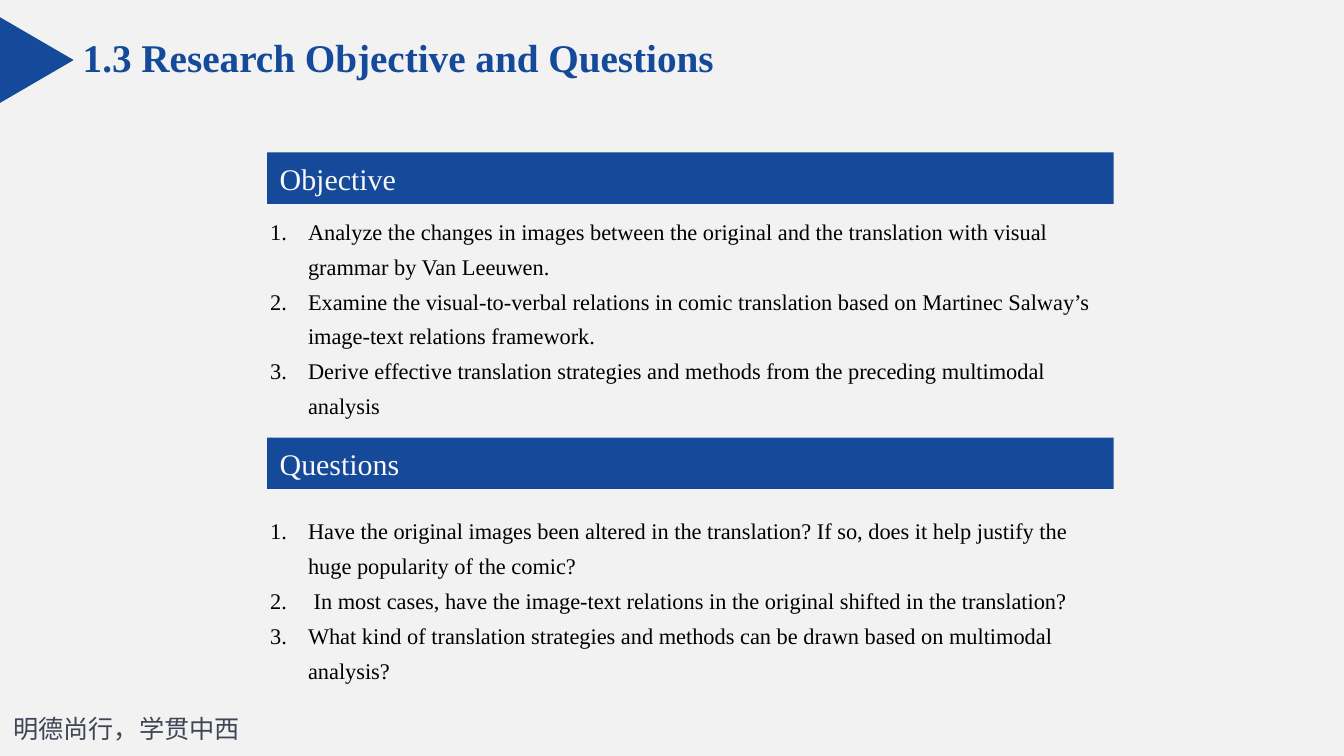
from dataclasses import dataclass

from lxml import etree
from pptx import Presentation
from pptx.dml.color import RGBColor
from pptx.enum.shapes import MSO_SHAPE
from pptx.enum.text import MSO_ANCHOR, MSO_AUTO_SIZE, PP_ALIGN
from pptx.oxml.ns import qn
from pptx.util import Pt


@dataclass(frozen=True)
class Theme:
    background: str = "F2F2F2"
    accent: str = "15499A"
    band_text: str = "F8F8F8"
    body_text: str = "000000"
    motto_text: str = "414456"
    font: str = "Times New Roman"
    motto_font: str = "Noto Sans CJK SC"
    title_size: float = 28
    band_size: float = 21.4
    body_size: float = 16
    motto_size: float = 18


THEME = Theme()
LIST_INDENT = 27
SECTION_WIDTH = 604.8
BAND_LEFT, BAND_HEIGHT = 190.8, 36.7
LIST_LEFT = 185.8

# heading, band top, list top, list height, items
SECTIONS = [
    ("Objective", 108.9, 146.2, 156.2, [
        "Analyze the changes in images between the original and the translation "
        "with visual grammar by Van Leeuwen.",
        "Examine the visual-to-verbal relations in comic translation based on "
        "Martinec Salway’s image-text relations framework.",
        "Derive effective translation strategies and methods from the preceding "
        "multimodal analysis",
    ]),
    ("Questions", 312.6, 360, 131, [
        "Have the original images been altered in the translation? If so, does it "
        "help justify the huge popularity of the comic?",
        " In most cases, have the image-text relations in the original shifted in "
        "the translation?",
        "What kind of translation strategies and methods can be drawn based on "
        "multimodal analysis?",
    ]),
]


def place(shape, left, top, width, height):
    shape.left, shape.top = Pt(left), Pt(top)
    shape.width, shape.height = Pt(width), Pt(height)


def set_frame(shape, anchor, margin_x=7.2, margin_y=3.6, wrap=True):
    frame = shape.text_frame
    frame.auto_size = MSO_AUTO_SIZE.NONE
    frame.word_wrap = wrap
    frame.vertical_anchor = anchor
    frame.margin_left = frame.margin_right = Pt(margin_x)
    frame.margin_top = frame.margin_bottom = Pt(margin_y)
    return frame


def add_run(paragraph, text, size, color, font=THEME.font, bold=False):
    paragraph.alignment = PP_ALIGN.LEFT
    paragraph.space_before = Pt(0)
    run = paragraph.add_run()
    run.text = text
    run.font.size = Pt(size)
    run.font.bold = bold
    run.font.color.rgb = RGBColor.from_string(color)
    run.font.name = font
    east_asian = etree.SubElement(run.font._element, qn("a:ea"))
    east_asian.set("typeface", font)


def number_paragraph(paragraph):
    """Give the paragraph an automatic number and a hanging indent."""
    properties = paragraph._p.get_or_add_pPr()
    properties.set("marL", str(Pt(LIST_INDENT)))
    properties.set("indent", str(-Pt(LIST_INDENT)))
    etree.SubElement(properties, qn("a:buFont")).set("typeface", THEME.font)
    etree.SubElement(properties, qn("a:buAutoNum")).set("type", "arabicPeriod")


def add_accent_shape(slide, kind, left, top, width, height):
    shape = slide.shapes.add_shape(kind, Pt(left), Pt(top), Pt(width), Pt(height))
    shape.shadow.inherit = False
    shape.fill.solid()
    shape.fill.fore_color.rgb = RGBColor.from_string(THEME.accent)
    shape.line.fill.background()
    return shape


def fill_title(title, text):
    place(title, 49.7, 18.7, 475.2, 44)
    frame = set_frame(title, MSO_ANCHOR.MIDDLE, 9.4, 5, wrap=False)
    add_run(frame.paragraphs[0], text, THEME.title_size, THEME.accent, bold=True)


def add_band(slide, heading, top):
    band = add_accent_shape(slide, MSO_SHAPE.RECTANGLE,
                            BAND_LEFT, top, SECTION_WIDTH, BAND_HEIGHT)
    frame = set_frame(band, MSO_ANCHOR.MIDDLE, margin_x=9)
    add_run(frame.paragraphs[0], heading, THEME.band_size, THEME.band_text)


def fill_list(body, top, height, items):
    place(body, LIST_LEFT, top, SECTION_WIDTH, height)
    frame = set_frame(body, MSO_ANCHOR.TOP)
    for index, item in enumerate(items):
        paragraph = frame.add_paragraph() if index else frame.paragraphs[0]
        number_paragraph(paragraph)
        paragraph.line_spacing = 1.3
        add_run(paragraph, item, THEME.body_size, THEME.body_text)


def add_motto(slide, text):
    box = slide.shapes.add_textbox(Pt(2.2), Pt(506.2), Pt(179.3), Pt(28.8))
    frame = set_frame(box, MSO_ANCHOR.TOP)
    add_run(frame.paragraphs[0], text, THEME.motto_size, THEME.motto_text,
            font=THEME.motto_font)


def main():
    presentation = Presentation()
    presentation.slide_width, presentation.slide_height = Pt(960), Pt(540)
    two_content = presentation.slide_layouts[3]
    slide = presentation.slides.add_slide(two_content)
    slide.background.fill.solid()
    slide.background.fill.fore_color.rgb = RGBColor.from_string(THEME.background)

    title, *bodies = slide.placeholders
    add_motto(slide, "明德尚行，学贯中西")
    fill_title(title, "1.3 Research Objective and Questions")
    marker = add_accent_shape(slide, MSO_SHAPE.ISOSCELES_TRIANGLE,
                              -4.3, 16.6, 61.2, 52.6)
    marker.rotation = 90
    for body, (heading, band_top, list_top, height, items) in zip(bodies, SECTIONS):
        add_band(slide, heading, band_top)
        fill_list(body, list_top, height, items)

    presentation.save("out.pptx")


if __name__ == "__main__":
    main()
